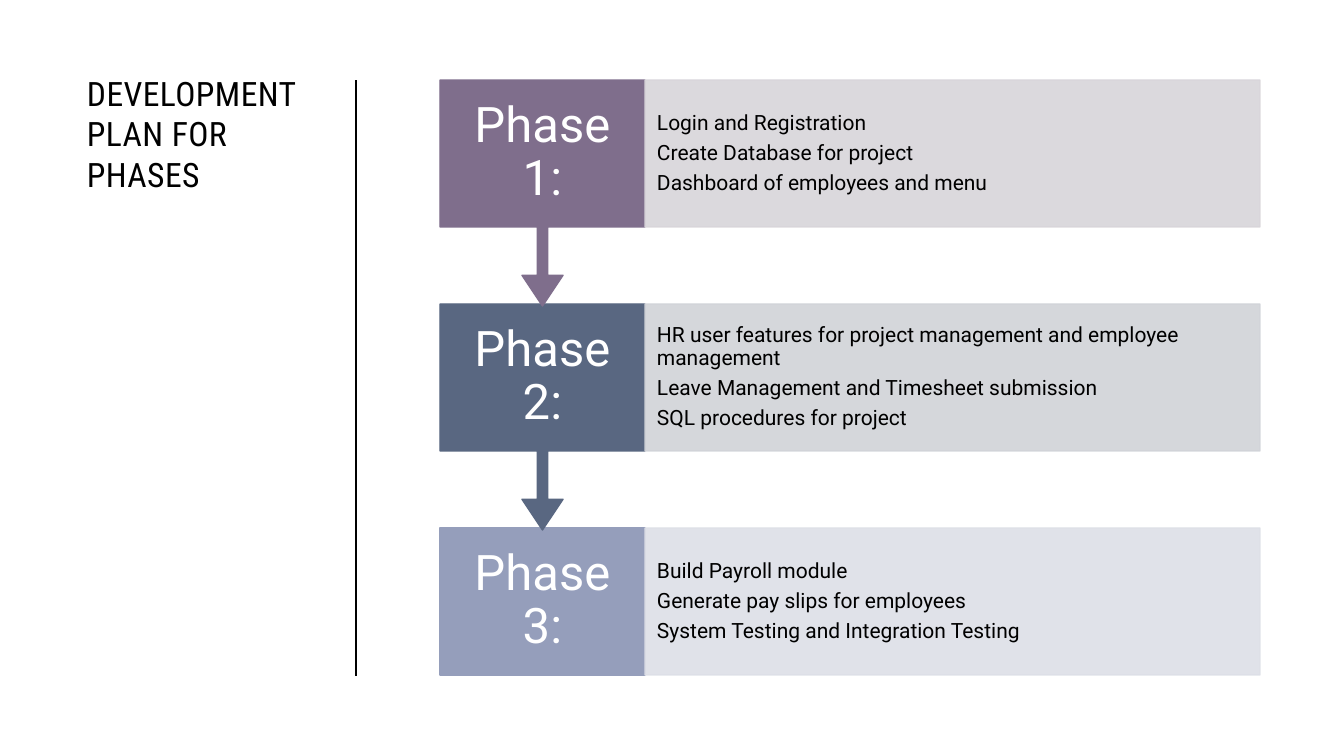
from lxml import etree
from pptx import Presentation
from pptx.dml.color import RGBColor
from pptx.enum.shapes import MSO_CONNECTOR as CONN, MSO_SHAPE as SHAPE
from pptx.enum.text import MSO_ANCHOR as ANCHOR, PP_ALIGN as ALIGN
from pptx.oxml.ns import qn
from pptx.util import Pt

EMU_PER_PX = 914400 / 100.8
COLORS = {"text": "000000", "label": "FFFFFF"}

# Heading, detail lines, heading colour, detail colour
PHASES = [
    ("Phase 1:", ["Login and Registration", "Create Database for project",
                  "Dashboard of employees and menu"], "7F6E8C", "D8D5DA"),
    ("Phase 2:", ["HR user features for project management and employee management",
                  "Leave Management and Timesheet submission",
                  "SQL procedures for project"], "596781", "D1D3D8"),
    ("Phase 3:", ["Build Payroll module", "Generate pay slips for employees",
                  "System Testing and Integration Testing"], "959EBB", "DDDFE7"),
]

# Layout in px
TOP, PITCH, BOX_H, CALLOUT_H = 80, 224, 147, 226
LABEL_X, LABEL_W = 440, 205
DETAIL_X, DETAIL_W = LABEL_X + LABEL_W, 615


def px(*values):
    return [round(v * EMU_PER_PX) for v in values]


class SlideBuilder:
    font = "Roboto"
    title_font = "Roboto Condensed"

    def __init__(self, prs):
        self.shapes = prs.slides.add_slide(prs.slide_layouts[6]).shapes

    def block(self, kind, box, color, alpha=None):
        sp = self.shapes.add_shape(kind, *px(*box))
        sp.shadow.inherit = False
        sp.line.width = Pt(1)
        for fill in (sp.fill, sp.line.fill):
            fill.solid()
            fill.fore_color.rgb = RGBColor.from_string(color)
        if alpha is not None:
            for clr in sp._element.spPr.iter(qn("a:srgbClr")):
                etree.SubElement(clr, qn("a:alpha"), val=str(alpha * 1000))
        return sp

    def callout(self, box, color):
        sp = self.block(SHAPE.UP_ARROW_CALLOUT, box, color)
        sp.rotation = 180
        for i, value in enumerate((0.05, 0.1, 0.15, 0.65)):
            sp.adjustments[i] = value

    def text(self, box, lines, size, color="text", font=None, insets=(10, 5),
             anchor=ANCHOR.MIDDLE, align=ALIGN.LEFT, spacing=0.9, after=0):
        tf = self.shapes.add_textbox(*px(*box)).text_frame
        tf.word_wrap = True
        tf.vertical_anchor = anchor
        side, edge = px(*insets)
        tf.margin_left = tf.margin_right = side
        tf.margin_top = tf.margin_bottom = edge
        tf.text = "\n".join(lines)
        for p in tf.paragraphs:
            p.alignment = align
            p.line_spacing = spacing
            p.space_after = Pt(after)
            p.font.name = font or self.font
            p.font.size = Pt(size)
            p.font.color.rgb = RGBColor.from_string(COLORS[color])
        return tf

    def title(self, box, text):
        tf = self.text(box, [text], 24, font=self.title_font,
                       anchor=ANCHOR.TOP, spacing=1.0)
        tf.paragraphs[0].runs[0].font._element.set("spc", "30")

    def rule(self, x1, y1, x2, y2):
        line = self.shapes.add_connector(CONN.STRAIGHT, *px(x1, y1, x2, y2))
        line.line.width = Pt(1)
        line.line.color.rgb = RGBColor.from_string(COLORS["text"])
        etree.SubElement(line._element.spPr, qn("a:effectLst"))

    def phase(self, top, heading, details, color, tint, has_arrow):
        label = (LABEL_X, top, LABEL_W, BOX_H)
        detail = (DETAIL_X, top, DETAIL_W, BOX_H)
        if has_arrow:
            self.callout((LABEL_X, top, LABEL_W, CALLOUT_H), color)
        else:
            self.block(SHAPE.RECTANGLE, label, color)
        self.text(label, [heading], 35, "label", insets=(14, 27),
                  align=ALIGN.CENTER)
        self.block(SHAPE.RECTANGLE, detail, tint, alpha=90)
        self.text(detail, details, 15, insets=(12, 21), after=5.25)


def main():
    prs = Presentation()
    prs.slide_width, prs.slide_height = px(1344, 756)
    s = SlideBuilder(prs)

    # Title and divider
    s.title((77, 68, 240, 495), "DEVELOPMENT PLAN FOR PHASES")
    s.rule(356, 676, 356, 80)

    # Phases from the last up, so each arrow tip lies over the next box
    last = len(PHASES) - 1
    for i in range(last, -1, -1):
        s.phase(TOP + i * PITCH, *PHASES[i], has_arrow=i < last)

    prs.save("out.pptx")


if __name__ == "__main__":
    main()
